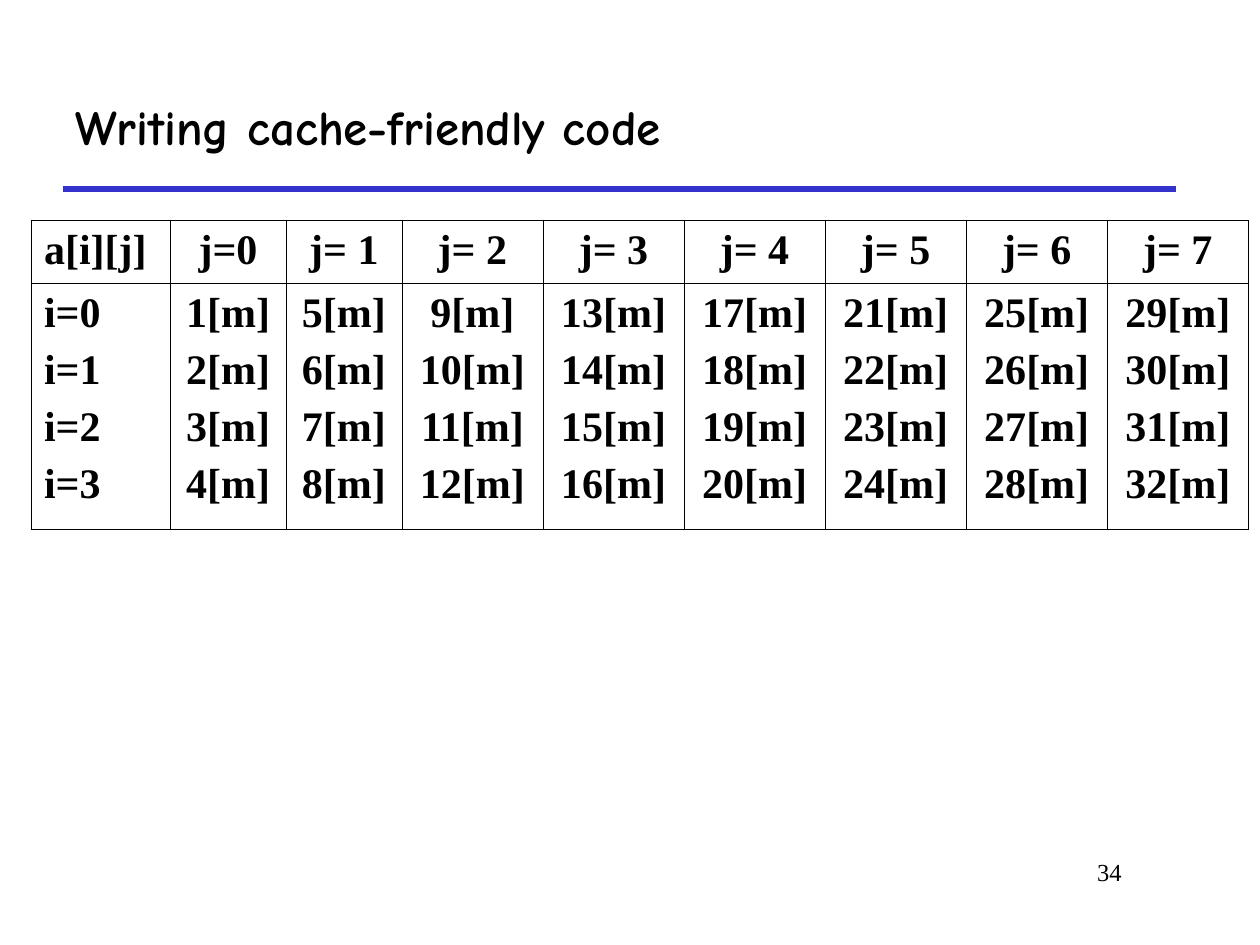
from dataclasses import dataclass

from lxml.etree import SubElement
from pptx import Presentation
from pptx.dml.color import RGBColor
from pptx.enum.shapes import MSO_CONNECTOR as Connector
from pptx.enum.text import MSO_ANCHOR as Anchor, PP_ALIGN as Align
from pptx.oxml.ns import qn
from pptx.util import Inches, Pt


@dataclass(frozen=True)
class Theme:
    ink: str = "000000"
    rule: str = "3333CC"
    title_font: str = "Comic Neue"
    body_font: str = "Times New Roman"
    title_size: float = 28
    cell_size: float = 24
    number_size: float = 14
    rule_width: float = 3
    outer_border: float = 1.08
    inner_border: float = 0.45


def write_text(frame, text, *, font, size, color, bold=False,
               align=Align.LEFT, before=0):
    """Write one paragraph for each line of text."""
    for index, line in enumerate(text.split("\n")):
        paragraph = frame.add_paragraph() if index else frame.paragraphs[0]
        paragraph.alignment = align
        paragraph.space_before = Pt(before)
        run = paragraph.add_run()
        run.text = line
        run.font.name = font
        run.font.size = Pt(size)
        run.font.bold = bold
        run.font.color.rgb = RGBColor.from_string(color)


class SlideBuilder:
    def __init__(self, slide, theme):
        self.slide = slide
        self.theme = theme

    def text(self, text, left, top, width, height, anchor=Anchor.TOP, **style):
        box = self.slide.shapes.add_textbox(
            Inches(left), Inches(top), Inches(width), Inches(height))
        box.text_frame.word_wrap = True
        box.text_frame.vertical_anchor = anchor
        write_text(box.text_frame, text, color=self.theme.ink, **style)

    def line(self, x1, y1, x2, y2):
        rule = self.slide.shapes.add_connector(
            Connector.STRAIGHT, Inches(x1), Inches(y1), Inches(x2), Inches(y2))
        rule.line.color.rgb = RGBColor.from_string(self.theme.rule)
        rule.line.width = Pt(self.theme.rule_width)
        SubElement(rule._element.spPr, qn("a:effectLst"))

    def borders(self, cell, outer_sides):
        properties = cell._tc.get_or_add_tcPr()
        for side in "LRTB":
            width = (self.theme.outer_border if outer_sides[side]
                     else self.theme.inner_border)
            edge = SubElement(properties, qn(f"a:ln{side}"), w=str(Pt(width)))
            fill = SubElement(edge, qn("a:solidFill"))
            SubElement(fill, qn("a:srgbClr"), val=self.theme.ink)

    def table(self, rows, left, top, widths, heights):
        theme = self.theme
        table = self.slide.shapes.add_table(
            len(heights), len(widths), Inches(left), Inches(top),
            Inches(sum(widths)), Inches(sum(heights))).table
        table.first_row = table.horz_banding = False
        for column, width in zip(table.columns, widths):
            column.width = Inches(width)
        for row, height in zip(table.rows, heights):
            row.height = Inches(height)
        for r, texts in enumerate(rows):
            for c, text in enumerate(texts):
                cell = table.cell(r, c)
                write_text(cell.text_frame, text, font=theme.body_font,
                           size=theme.cell_size, color=theme.ink, bold=True,
                           align=Align.CENTER if c else Align.LEFT, before=6)
                self.borders(cell, {"L": c == 0, "R": c == len(widths) - 1,
                                    "T": r == 0, "B": r == len(heights) - 1})
                cell.fill.background()


theme = Theme()
deck = Presentation()
deck.slide_width, deck.slide_height = Inches(10), Inches(7.5)
page = SlideBuilder(deck.slides.add_slide(deck.slide_layouts[6]), theme)

# Title, rule and slide number
page.line(0.5, 1.5, 9.33, 1.5)
page.text("34", 7.58, 6.75, 1.42, 0.5, font=theme.body_font,
          size=theme.number_size, align=Align.RIGHT)
page.text("Writing cache-friendly code", 0.5, 0.5, 8.83, 1, anchor=Anchor.MIDDLE,
          font=theme.title_font, size=theme.title_size, bold=True)

# Access order: every access misses, running down each column in turn
I_COUNT, J_COUNT = 4, 8
header = ["a[i][j]", "j=0"] + [f"j= {j}" for j in range(1, J_COUNT)]
row_labels = "\n".join(f"i={i}" for i in range(I_COUNT))
misses = ["\n".join(f"{j * I_COUNT + i + 1}[m]" for i in range(I_COUNT))
          for j in range(J_COUNT)]
page.table([header, [row_labels, *misses]], 0.25, 1.75,
           widths=[1.1] + [0.92] * 2 + [1.12] * 6, heights=[0.5, 1.95])

deck.save("out.pptx")
